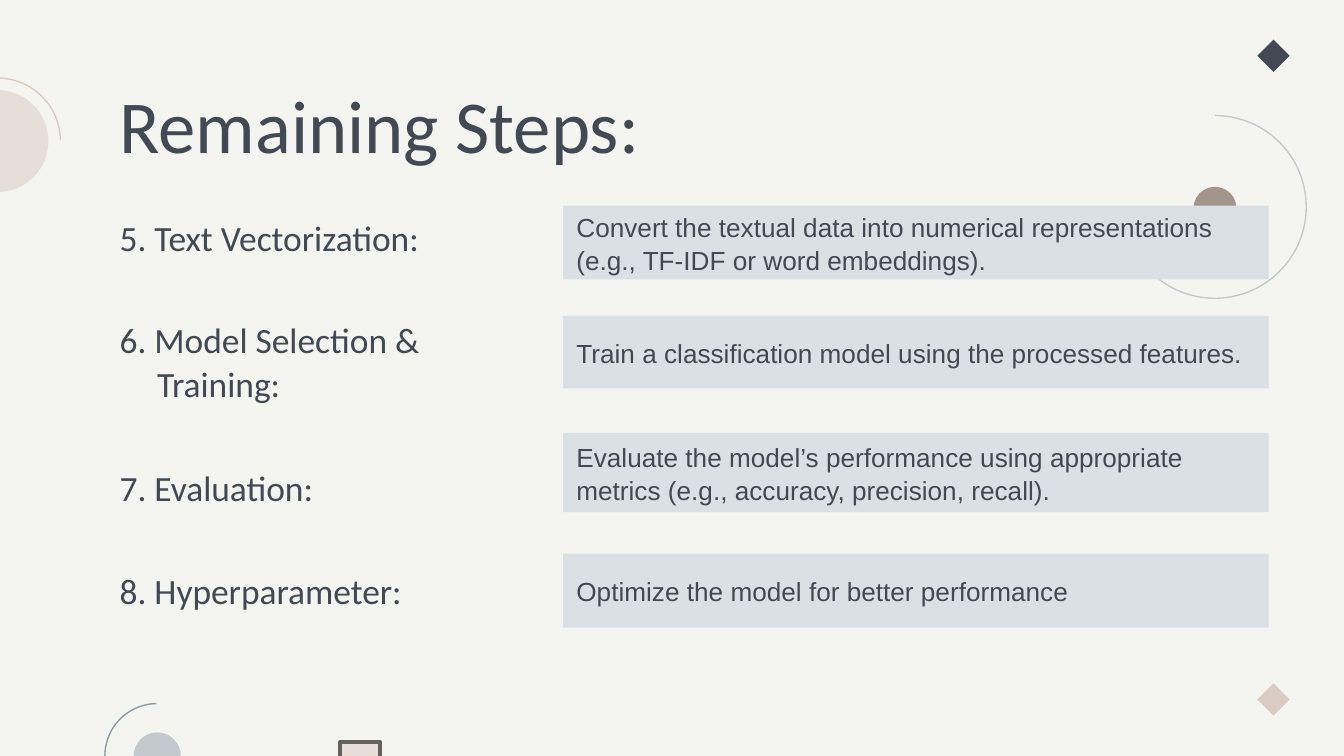
from lxml.etree import SubElement
from pptx import Presentation
from pptx.dml.color import RGBColor
from pptx.enum.shapes import MSO_SHAPE
from pptx.enum.text import MSO_ANCHOR, MSO_AUTO_SIZE, PP_ALIGN
from pptx.oxml.ns import qn
from pptx.util import Inches, Pt

WIDTH = 10
HEIGHT = WIDTH * 9 / 16
MARGIN = 0.79
BOX_LEFT, BOX_WIDTH = 4.19, 5.25
ROW_HEIGHT = 0.55

COLORS = {
    "background": "F4F5F0",
    "ink": "424953",
    "panel": "DBE0E4",
    "sand": "D9CCC3",
    "pale_sand": "E6DFD7",
    "taupe": "A2958C",
    "mist": "C4C9CD",
    "steel": "8D9BA4",
    "outline": "65625E",
}

# heading, heading top, description, description top, description height
STEPS = [
    ("5. Text Vectorization:", 1.49,
     "Convert the textual data into numerical representations "
     "(e.g., TF-IDF or word embeddings).", 1.53, 0.55),
    ("6. Model Selection &", 2.25,
     "Train a classification model using the processed features.", 2.35, 0.54),
    ("7. Evaluation:", 3.35,
     "Evaluate the model’s performance using appropriate metrics "
     "(e.g., accuracy, precision, recall).", 3.22, 0.59),
    ("8. Hyperparameter:", 4.12,
     "Optimize the model for better performance", 4.12, 0.55),
]


def color(name):
    return RGBColor.from_string(COLORS[name])


def place(shape, left, top, width, height):
    shape.left, shape.top = Inches(left), Inches(top)
    shape.width, shape.height = Inches(width), Inches(height)


def write(shape, text, size=19, font="Calibri", anchor=MSO_ANCHOR.MIDDLE, spacing=1.0):
    """Fill a shape with one left-aligned, unbulleted paragraph."""
    frame = shape.text_frame
    frame.word_wrap = True
    frame.auto_size = MSO_AUTO_SIZE.NONE
    frame.vertical_anchor = anchor
    frame.margin_left = frame.margin_right = Inches(0.1)
    frame.margin_top = frame.margin_bottom = Inches(0.1)
    paragraph = frame.paragraphs[0]
    paragraph.alignment = PP_ALIGN.LEFT
    paragraph.line_spacing = spacing
    paragraph.space_before = Pt(0)
    properties = paragraph._p.get_or_add_pPr()
    properties.set("marL", "0")
    properties.set("indent", "0")
    SubElement(properties, qn("a:buNone"))
    run = paragraph.add_run()
    run.text = text
    run.font.size = Pt(size)
    run.font.name = font
    run.font.bold = False
    run.font.color.rgb = color("ink")


def add_figure(slide, kind, left, top, width, height, fill=None, line=None,
               weight=0.75, rotation=0):
    shape = slide.shapes.add_shape(
        kind, Inches(left), Inches(top), Inches(width), Inches(height))
    shape.shadow.inherit = False
    shape.rotation = rotation
    if fill:
        shape.fill.solid()
        shape.fill.fore_color.rgb = color(fill)
    else:
        shape.fill.background()
    if line:
        shape.line.color.rgb = color(line)
        shape.line.width = Pt(weight)
    else:
        shape.line.fill.background()
    return shape


def add_disc(slide, center_x, center_y, diameter, fill):
    add_figure(slide, MSO_SHAPE.OVAL, center_x - diameter / 2,
               center_y - diameter / 2, diameter, diameter, fill=fill)


def add_arc(slide, center_x, center_y, diameter, line, end=89, rotation=0):
    """Draw an arc clockwise from the top to the end angle, then rotate it."""
    arc = add_figure(slide, MSO_SHAPE.ARC, center_x - diameter / 2,
                     center_y - diameter / 2, diameter, diameter,
                     line=line, rotation=rotation)
    arc.adjustments[0] = 270 * 0.6
    arc.adjustments[1] = end * 0.6


def add_decorations(slide):
    for top, fill in ((0.33, "ink"), (5.12, "sand")):
        add_figure(slide, MSO_SHAPE.RECTANGLE, 9.39, top, 0.17, 0.17,
                   fill=fill, rotation=45)
    add_disc(slide, 1.17, HEIGHT, 0.35, "mist")
    add_arc(slide, 1.17, HEIGHT, 0.78, "steel", rotation=180)
    add_disc(slide, -0.02, 1.05, 0.76, "pale_sand")
    add_arc(slide, -0.02, 1.05, 0.94, "sand", rotation=270)
    add_arc(slide, 9.04, 1.54, 1.36, "mist", end=180)
    add_disc(slide, 9.04, 1.55, 0.32, "taupe")
    add_figure(slide, MSO_SHAPE.RECTANGLE, 2.53, 5.52, 0.3, 0.22,
               fill="pale_sand", line="outline", weight=2)


def add_steps(slide):
    headings = [slide.placeholders[index] for index in (1, 2, 3, 4)]
    for heading, (name, name_top, description, top, height) in zip(headings, STEPS):
        place(heading, MARGIN, name_top, 3.24, ROW_HEIGHT)
        write(heading, name)
        panel = add_figure(slide, MSO_SHAPE.RECTANGLE, BOX_LEFT, top,
                           BOX_WIDTH, height, fill="panel")
        write(panel, description, size=14, font="Arial", spacing=1.05)
    continuation = slide.shapes.add_textbox(
        Inches(1.07), Inches(2.58), Inches(2.09), Inches(ROW_HEIGHT))
    write(continuation, "Training:")


def main():
    presentation = Presentation()
    presentation.slide_width = Inches(WIDTH)
    presentation.slide_height = Inches(HEIGHT)
    comparison_layout = presentation.slide_layouts[4]
    slide = presentation.slides.add_slide(comparison_layout)
    slide.background.fill.solid()
    slide.background.fill.fore_color.rgb = color("background")

    add_decorations(slide)
    title = slide.shapes.title
    place(title, MARGIN, 0.49, 8.43, 0.63)
    write(title, "Remaining Steps:", size=40, anchor=MSO_ANCHOR.TOP)
    add_steps(slide)
    presentation.save("out.pptx")


if __name__ == "__main__":
    main()
